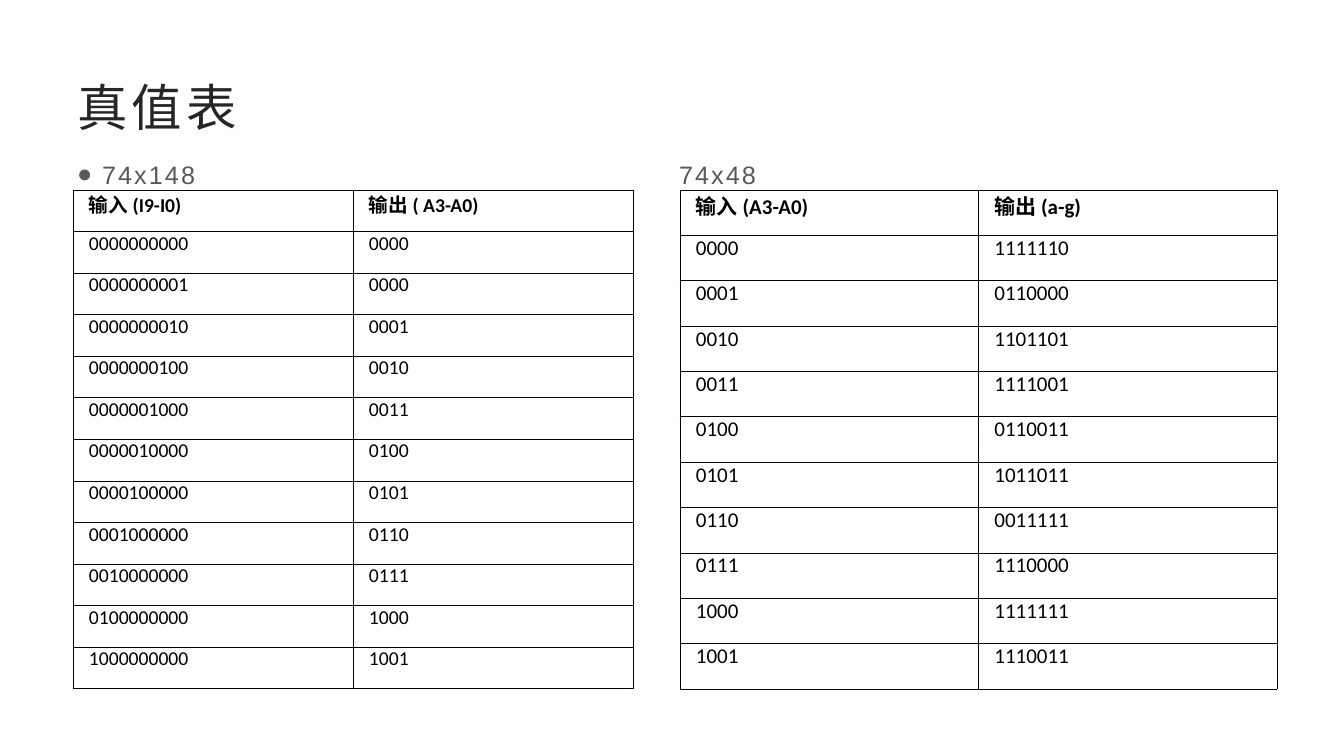
from dataclasses import dataclass

from pptx import Presentation
from pptx.dml.color import RGBColor
from pptx.enum.text import MSO_ANCHOR, MSO_AUTO_SIZE, PP_ALIGN
from pptx.oxml.ns import qn
from pptx.util import Pt
from lxml.etree import SubElement

SCALE = 914400 / 100.8


@dataclass(frozen=True)
class Theme:
    title: str = "262626"
    body: str = "595959"
    ink: str = "000000"
    rule: str = "000008"
    sans: str = "Arial"
    digit: str = "Calibri"
    cjk: str = "Noto Sans CJK SC"
    big: int = 36
    mid: int = 18
    left: int = 14
    right: int = 15


THEME = Theme()
SEGMENTS = ["1111110", "0110000", "1101101", "1111001", "0110011",
            "1011011", "0011111", "1110000", "1111111", "1110011"]


def px(n):
    return round(n * SCALE)


def add_run(para, text, font, size, color, bold=False, gap=0):
    run = para.add_run()
    run.text = text
    run.font.name = font
    run.font.size = Pt(size)
    run.font.bold = bold
    run.font.color.rgb = RGBColor.from_string(color)
    props = run.font._element
    SubElement(props, qn("a:ea"), typeface=THEME.cjk)
    if gap:
        props.set("spc", str(gap))


def place(holder, left, top, width, height, anchor):
    holder.left, holder.top = px(left), px(top)
    holder.width, holder.height = px(width), px(height)
    frame = holder.text_frame
    frame.word_wrap = True
    frame.auto_size = MSO_AUTO_SIZE.NONE
    frame.vertical_anchor = anchor
    para = frame.paragraphs[0]
    para.alignment = PP_ALIGN.LEFT
    return para


def add_heads(para, first, second, stop):
    """Bulleted line with the second name at a tab stop."""
    para.line_spacing = 1.3
    para.space_before = Pt(0)
    para.space_after = Pt(10)
    props = para._p.get_or_add_pPr()
    props.set("marL", str(px(25)))
    props.set("indent", str(-px(25)))
    SubElement(props, qn("a:buFont"), typeface=THEME.sans)
    SubElement(props, qn("a:buChar"), char="●")
    tabs = SubElement(props, qn("a:tabLst"))
    SubElement(tabs, qn("a:tab"), pos=str(px(stop)), algn="l")
    for text in (first, "\t", second):
        add_run(para, text, THEME.sans, THEME.mid, THEME.body, gap=150)


def add_edges(cell):
    props = cell._tc.get_or_add_tcPr()
    for side in ("lnL", "lnR", "lnT", "lnB"):
        line = SubElement(props, qn(f"a:{side}"), w=str(Pt(0.5)))
        fill = SubElement(line, qn("a:solidFill"))
        SubElement(fill, qn("a:srgbClr"), val=THEME.rule)


def fill_cell(cell, parts, size, bold):
    cell.margin_left = cell.margin_right = px(7)
    cell.margin_top = cell.margin_bottom = 0
    add_edges(cell)
    cell.fill.background()
    para = cell.text_frame.paragraphs[0]
    para.alignment = PP_ALIGN.JUSTIFY
    para._p.get_or_add_pPr().set("marL", str(px(9)))
    for text, font in parts:
        add_run(para, text, font, size, THEME.ink, bold)


def add_truth(slide, left, width, names, rows, size):
    top, height = 190, 499
    count = len(rows) + 1
    frame = slide.shapes.add_table(count, 2, px(left), px(top),
                                   px(width), px(height))
    table = frame.table
    table.first_row = table.horz_banding = False
    for row in table.rows:
        row.height = px(height / count)
    for col, (word, name) in enumerate(zip(("输入 ", "输出 "), names)):
        parts = [(word, THEME.cjk), (name, THEME.digit)]
        fill_cell(table.cell(0, col), parts, size, True)
    for at, row in enumerate(rows, 1):
        for col, bits in enumerate(row):
            fill_cell(table.cell(at, col), [(bits, THEME.digit)], size, False)


def main():
    deck = Presentation()
    deck.slide_width, deck.slide_height = px(1344), px(756)
    slide = deck.slides.add_slide(deck.slide_layouts[1])

    # Title and the names of the two chips
    title, body = slide.placeholders
    para = place(title, 67, 67, 1210, 78, MSO_ANCHOR.MIDDLE)
    add_run(para, "真值表", THEME.sans, THEME.big, THEME.title, gap=300)
    para = place(body, 67, 145, 1210, 544, MSO_ANCHOR.TOP)
    add_heads(para, "74x148", "74x48", 602)

    # Encoder: one active input line gives its number
    codes = [f"{n:04b}" for n in range(10)]
    lines = [("0" * 10, codes[0])]
    lines += [(f"{1 << n:010b}", code) for n, code in enumerate(codes)]
    add_truth(slide, 73, 560, ("(I9-I0)", "( A3-A0)"), lines, THEME.left)

    # Decoder: number to seven segments
    add_truth(slide, 680, 597, ("(A3-A0)", "(a-g)"),
              list(zip(codes, SEGMENTS)), THEME.right)

    deck.save("out.pptx")


if __name__ == "__main__":
    main()
